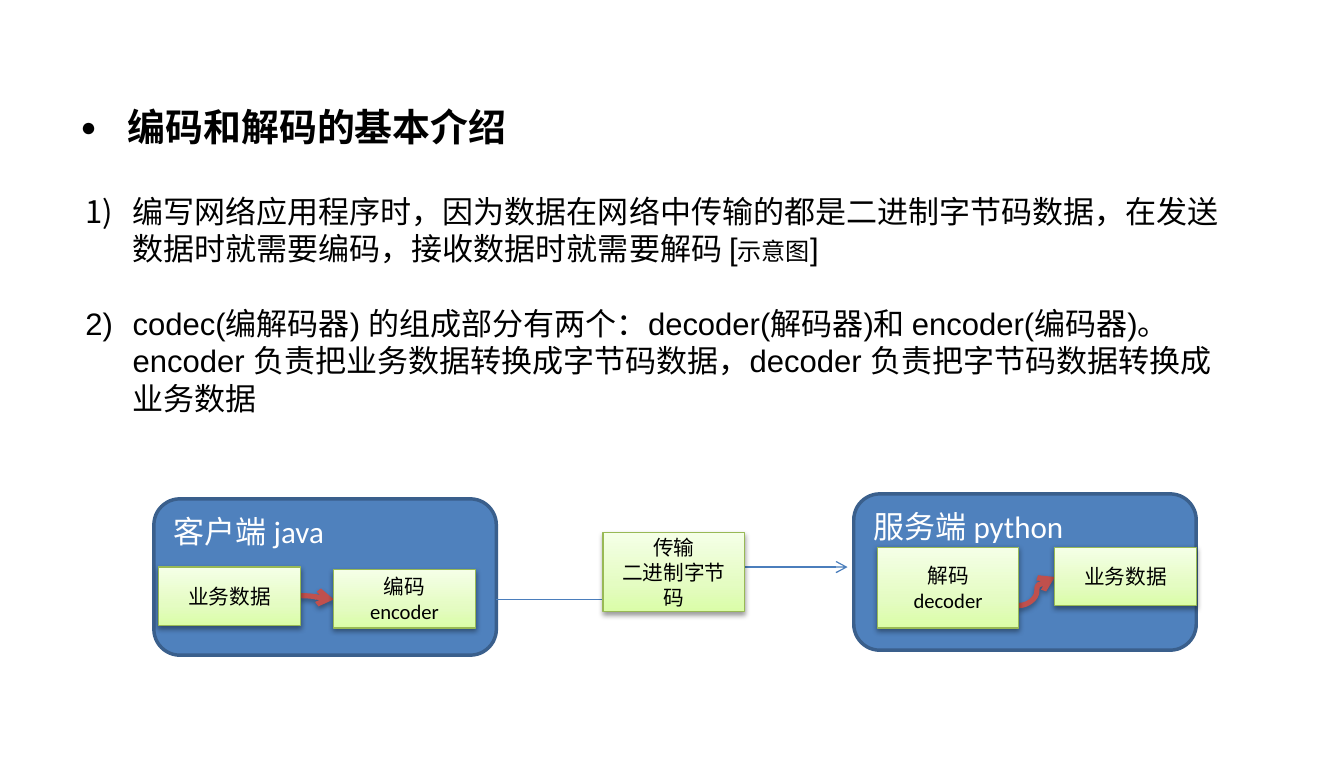
from copy import deepcopy
from lxml.etree import SubElement
from pptx import Presentation
from pptx.dml.color import RGBColor
from pptx.enum.shapes import MSO_CONNECTOR as Link, MSO_SHAPE as Shape
from pptx.enum.text import MSO_ANCHOR as Anchor, PP_ALIGN as Align
from pptx.oxml.ns import qn
from pptx.util import Pt

PX = 9144
BLACK = RGBColor(0x00, 0x00, 0x00)
WHITE = RGBColor(0xFF, 0xFF, 0xFF)
PANEL_BLUE = RGBColor(0x4F, 0x81, 0xBD)
PANEL_EDGE = RGBColor(0x3A, 0x5F, 0x8C)
LINK_BLUE = RGBColor(0x4B, 0x7E, 0xBC)
ARROW_RED = RGBColor(0xC0, 0x50, 0x4D)
BOX_EDGE = RGBColor(0x98, 0xB9, 0x55)
BOX_STOPS = [
    (0, RGBColor(0xDA, 0xFD, 0xA7)),
    (0.35, RGBColor(0xE4, 0xFC, 0xC2)),
    (1, RGBColor(0xF5, 0xFF, 0xE7)),
]


def add_shadow(effects, alpha, distance):
    shadow = SubElement(effects, qn("a:outerShdw"), blurRad=str(Pt(3.1)),
                        dist=str(Pt(distance)), dir="5400000", rotWithShape="0")
    color = SubElement(shadow, qn("a:srgbClr"), val=str(BLACK))
    SubElement(color, qn("a:alpha"), val=str(alpha * 1000))


def set_marker(para, tag, **attributes):
    props = para._p.get_or_add_pPr()
    props.set("marL", str(38 * PX))
    props.set("indent", str(-38 * PX))
    if tag == "a:buChar":
        SubElement(props, qn("a:buSzPct"), val="70000")
    SubElement(props, qn("a:buFont"), typeface="Arial")
    SubElement(props, qn(tag), **attributes)


deck = Presentation()
deck.slide_width, deck.slide_height = 1083 * PX, 614 * PX
page = deck.slides.add_slide(deck.slide_layouts[5])

title = page.shapes.title
title.left, title.top, title.width, title.height = (n * PX for n in (55, 83, 861, 43))
title.text_frame.text = "编码和解码的基本介绍"
title.text_frame.vertical_anchor = Anchor.TOP
para = title.text_frame.paragraphs[0]
para.alignment = Align.LEFT
para.line_spacing = 0.9
set_marker(para, "a:buChar", char="●")
para.font.name, para.font.size, para.font.bold = "Arial", Pt(22), True
para.font.color.rgb = BLACK

body = page.shapes.add_textbox(*(n * PX for n in (59, 150, 939, 279))).text_frame
body.word_wrap = True
points = [
    [("编写网络应用程序时，因为数据在网络中传输的都是二进制字节码数据，"
      "在发送数据时就需要编码，接收数据时就需要解码 [", 18), ("示意图", 14), ("]", 18)],
    [("codec(编解码器) 的组成部分有两个：decoder(解码器)和 encoder(编码器)。"
      "encoder 负责把业务数据转换成字节码数据，decoder 负责把字节码数据转换成业务数据", 18)],
]
for index, point in enumerate(points):
    para = body.add_paragraph() if index else body.paragraphs[0]
    if index:
        para.space_before = Pt(22)
    set_marker(para, "a:buAutoNum", type="arabicParenR")
    para.font.name = "Arial"
    para.font.color.rgb = BLACK
    for text, size in point:
        span = para.add_run()
        span.text = text
        span.font.size = Pt(size)

for text, left, top in [("客户端 java", 124, 402), ("服务端 python", 688, 398)]:
    panel = page.shapes.add_shape(Shape.ROUNDED_RECTANGLE, left * PX, top * PX, 276 * PX, 126 * PX)
    panel.shadow.inherit = False
    panel.fill.solid()
    panel.fill.fore_color.rgb = PANEL_BLUE
    panel.line.color.rgb = PANEL_EDGE
    panel.line.width = Pt(2)
    panel.text_frame.text = text
    panel.text_frame.vertical_anchor = Anchor.TOP
    para = panel.text_frame.paragraphs[0]
    para.alignment = Align.LEFT
    para.font.name, para.font.size = "Calibri", Pt(18)
    para.font.color.rgb = WHITE

links = [
    (Link.ELBOW, (400, 483, 683, 457), LINK_BLUE, 0.75),
    (Link.CURVE, (242, 480, 269, 483), ARROW_RED, 3),
    (Link.CURVE, (821, 488, 850, 465), ARROW_RED, 3),
]
for kind, ends, color, width in links:
    link = page.shapes.add_connector(kind, *(n * PX for n in ends))
    link.line.color.rgb = color
    link.line.width = Pt(width)
    SubElement(link.line._get_or_add_ln(), qn("a:tailEnd"), type="arrow")
    effects = SubElement(link._element.spPr, qn("a:effectLst"))
    if kind == Link.CURVE:
        add_shadow(effects, 35, 1.8)

boxes = [
    ("业务数据", 128, 457, 47),
    ("编码\nencoder", 269, 459, 47),
    ("传输\n二进制字节码", 486, 429, 64),
    ("解码\ndecoder", 707, 441, 65),
    ("业务数据", 850, 441, 47),
]
for text, left, top, height in boxes:
    box = page.shapes.add_shape(Shape.RECTANGLE, left * PX, top * PX, 114 * PX, height * PX)
    box.shadow.inherit = False
    box.fill.gradient()
    box.fill.gradient_angle = 90
    stop_list = box._element.spPr.find(".//" + qn("a:gsLst"))
    stop_list.insert(1, deepcopy(stop_list[0]))
    for stop, (position, color) in zip(box.fill.gradient_stops, BOX_STOPS):
        stop.position = position
        stop.color.rgb = color
    box.line.color.rgb = BOX_EDGE
    box.line.width = Pt(0.75)
    add_shadow(box._element.spPr.find(qn("a:effectLst")), 38, 1.6)
    box.text_frame.text = text
    box.text_frame.vertical_anchor = Anchor.MIDDLE
    for para in box.text_frame.paragraphs:
        para.alignment = Align.CENTER
        para.font.name, para.font.size = "Calibri", Pt(12)
        para.font.color.rgb = BLACK

deck.save("out.pptx")
